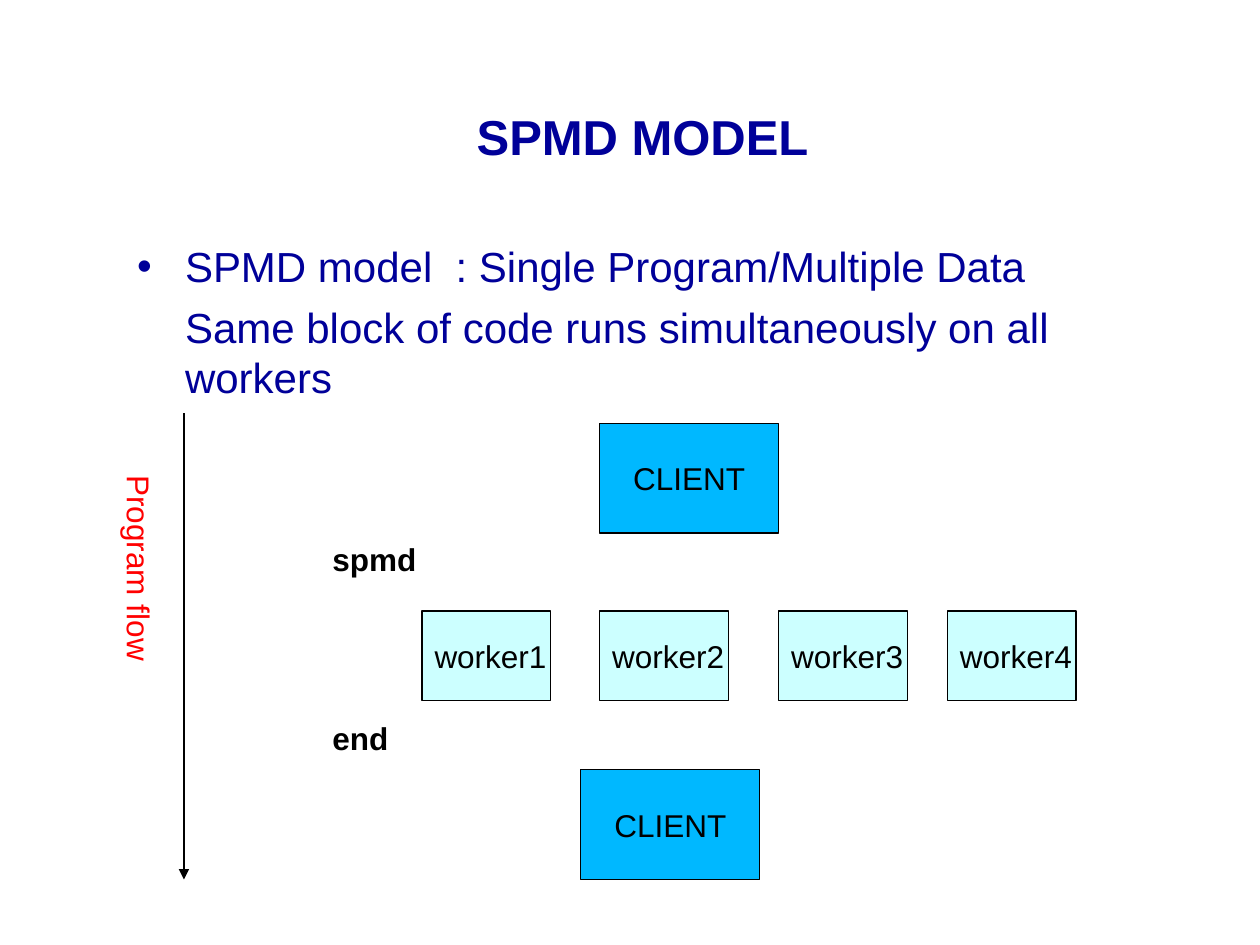
from lxml.etree import SubElement
from pptx import Presentation
from pptx.dml.color import RGBColor
from pptx.enum.shapes import MSO_CONNECTOR as Connector, MSO_SHAPE as Preset
from pptx.enum.text import MSO_ANCHOR as Anchor, MSO_AUTO_SIZE as AutoSize, PP_ALIGN as Align
from pptx.oxml.ns import qn
from pptx.util import Inches, Pt

NAVY = RGBColor(0x00, 0x00, 0x99)
BLACK = RGBColor(0x00, 0x00, 0x00)
RED = RGBColor(0xFF, 0x00, 0x00)
SKY = RGBColor(0x00, 0xB8, 0xFF)
PALE = RGBColor(0xCC, 0xFF, 0xFF)

COLUMNS, ROWS = 100, 75
CELL = Inches(0.1)
CLIENT_SIZE = (14.2, 8.7)
WORKER_SIZE = (10.2, 7.1)
WORKER_ROW = 48.5
WORKER_COLUMNS = (33.5, 47.6, 61.8, 75.2)
CLIENT_PLACES = ((47.6, 33.6), (46.1, 61.1))
KEYWORDS = (("spmd", 42.4, 9), ("end", 56.6, 7))


def cells(*counts):
    """Turn counts of grid cells into lengths."""
    return [round(count * CELL) for count in counts]


def set_all(target, values):
    """Set each attribute named in a dict of format values."""
    for name, value in values.items():
        setattr(target, name, value)


def write(paragraph, text, size, color, bold=False, **layout):
    """Write one formatted run into a paragraph."""
    run = paragraph.add_run()
    run.text = text
    set_all(run.font, {"name": "Arial", "size": Pt(size), "bold": bold})
    run.font.color.rgb = color
    set_all(paragraph, layout)


def add_label(slide, place, text, size, color, bold=False, frame=None, **layout):
    """Add a text box with one line of text."""
    box = slide.shapes.add_textbox(*cells(*place))
    set_all(box.text_frame, {"word_wrap": True, **(frame or {})})
    write(box.text_frame.paragraphs[0], text, size, color, bold, **layout)
    return box


def set_indent(paragraph, margin, first=0, bullet=None):
    """Indent a paragraph and give it an optional bullet."""
    properties = paragraph._p.get_or_add_pPr()
    properties.set("marL", str(Inches(margin)))
    properties.set("indent", str(Inches(first)))
    if bullet:
        SubElement(properties, qn("a:buFont"), typeface="Arial")
        SubElement(properties, qn("a:buChar"), char=bullet)


def add_body(slide):
    """Add the bullet and the explanation below it."""
    box = slide.shapes.add_textbox(*cells(9.9, 18.6, 85.8, 48))
    frame = box.text_frame
    frame.word_wrap = True
    heading, detail = frame.paragraphs[0], frame.add_paragraph()
    write(heading, "SPMD model  : Single Program/Multiple Data", 24, NAVY, space_before=Pt(6))
    write(detail, "Same block of code runs simultaneously on all workers", 24, NAVY, space_before=Pt(6))
    set_indent(heading, 0.38, -0.38, "•")
    set_indent(detail, 0.38)


def add_node(slide, place, size, text, fill, alignment, right_inset):
    """Add an outlined rectangle for a client or a worker."""
    node = slide.shapes.add_shape(Preset.RECTANGLE, *cells(*place, *size))
    node.shadow.inherit = False
    node.fill.solid()
    node.fill.fore_color.rgb = fill
    node.line.color.rgb = BLACK
    node.line.width = Pt(0.75)
    set_all(node.text_frame, {"word_wrap": True, "vertical_anchor": Anchor.MIDDLE,
                              "margin_right": Inches(right_inset)})
    write(node.text_frame.paragraphs[0], text, 18, BLACK, alignment=alignment)


def add_arrow(slide, start, end):
    """Add a thin arrow that points to its end."""
    arrow = slide.shapes.add_connector(Connector.STRAIGHT, *cells(*start, *end))
    arrow.line.color.rgb = BLACK
    arrow.line.width = Pt(0.75)
    SubElement(arrow.line._get_or_add_ln(), qn("a:tailEnd"), type="triangle")
    SubElement(arrow._element.spPr, qn("a:effectLst"))


def main():
    """Build the slide and save it."""
    presentation = Presentation()
    set_all(presentation, {"slide_width": COLUMNS * CELL, "slide_height": ROWS * CELL})
    slide = presentation.slides.add_slide(presentation.slide_layouts[6])

    add_label(slide, (9, 6.8, 85, 7.9), "SPMD MODEL ", 28, NAVY, True,
              {"vertical_anchor": Anchor.MIDDLE}, alignment=Align.CENTER)
    add_body(slide)

    for place in CLIENT_PLACES:
        add_node(slide, place, CLIENT_SIZE, "CLIENT", SKY, Align.CENTER, 0.1)
    for number, column in enumerate(WORKER_COLUMNS, 1):
        add_node(slide, (column, WORKER_ROW), WORKER_SIZE, f"worker{number}", PALE, Align.LEFT, 0)

    grow = {"auto_size": AutoSize.SHAPE_TO_FIT_TEXT}
    for text, row, width in KEYWORDS:
        add_label(slide, (25.4, row, width, 4), text, 18, BLACK, True, grow)

    add_arrow(slide, (14.6, 32.8), (14.6, 69.8))
    flow = add_label(slide, (0.9, 44.9, 20.3, 4), "Program flow", 18, RED,
                     frame=grow, space_before=Pt(11.2))
    flow.rotation = 90
    presentation.save("out.pptx")


if __name__ == "__main__":
    main()
